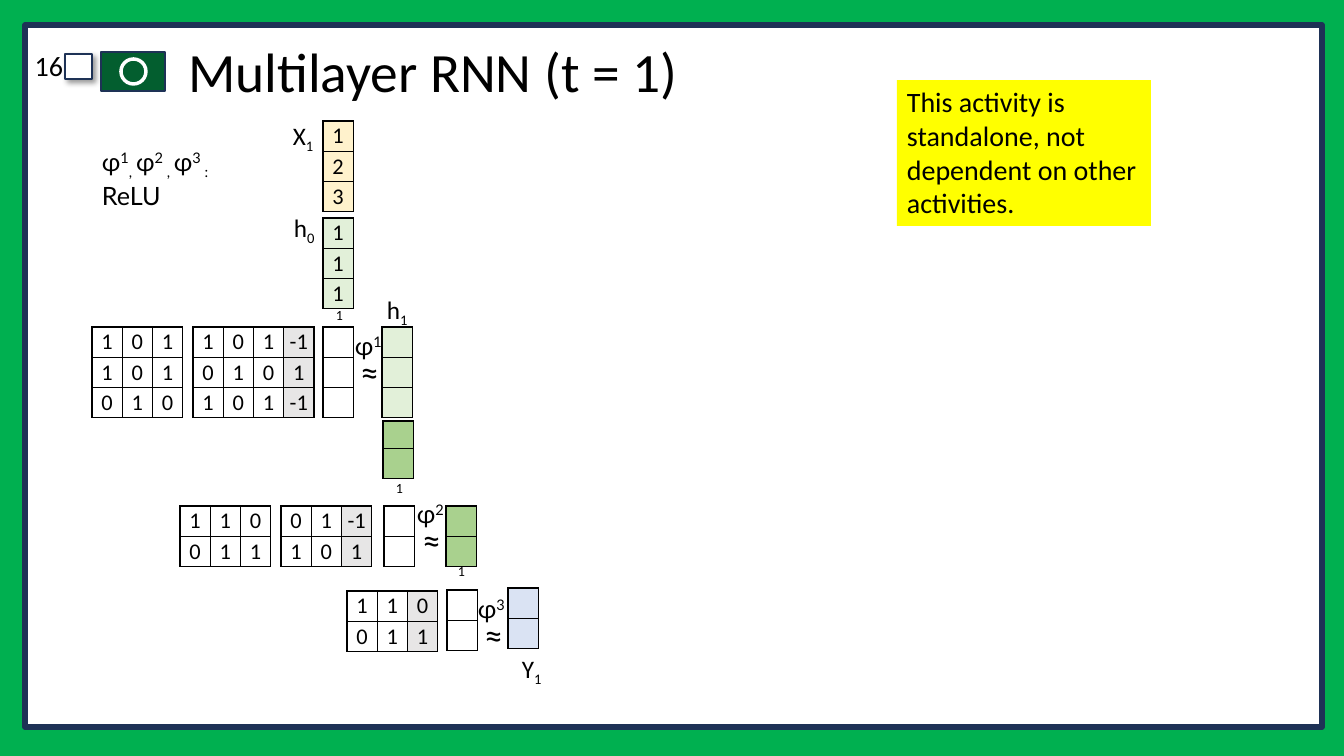
from dataclasses import dataclass
from lxml.etree import SubElement
from pptx import Presentation
from pptx.dml.color import RGBColor
from pptx.enum.shapes import MSO_SHAPE as Shape
from pptx.enum.text import MSO_ANCHOR as Anchor, MSO_AUTO_SIZE as Fit, PP_ALIGN as Align
from pptx.oxml.ns import qn
from pptx.util import Emu, Inches, Pt


@dataclass(frozen=True)
class Theme:
    font: str = "Calibri"
    math: str = "Lato"
    ink: str = "000000"
    back: str = "00B050"
    panel: str = "FFFFFF"
    frame: str = "1E3256"
    badge: str = "035E2F"
    note: str = "FFFF00"
    bias: str = "E7E6E6"
    input: str = "FFF2CC"
    first: str = "E2F0D9"
    second: str = "A9D18E"
    output: str = "DAE3F3"
    title: float = 39.6
    approx: int = 24
    body: int = 20
    label: int = 18
    cell: int = 16
    small: int = 10


T = Theme()
UP, DOWN = 30, -25
TITLE = "Multilayer RNN (t = 1)"
PAGE = "16"
NOTE = "This activity is standalone, not dependent on other activities."
PHI = "ɸ"
RELU = [PHI, ("1", UP), (", ", DOWN), PHI, ("2", UP), (" , ", DOWN),
        PHI, ("3", UP), (" : ", DOWN), "ReLU"]

# left, top, rows of values
WEIGHTS = [
    (92, 327, ["1 0 1", "1 0 1", "0 1 0"]),
    (180, 506, ["1 1 0", "0 1 1"]),
]
# as above, with the bias in the last column
BIASED = [
    (193, 327, ["1 0 1 -1", "0 1 0 1", "1 0 1 -1"]),
    (281, 506, ["0 1 -1", "1 0 1"]),
    (347, 591, ["1 1 0", "0 1 1"]),
]
# left, top, values, fill
VECTORS = [
    (323, 121, ["1", "2", "3"], T.input),
    (323, 218, ["1", "1", "1"], T.first),
    (323, 327, [""] * 3, None),
    (382, 327, [""] * 3, T.first),
    (383, 421, [""] * 2, T.second),
    (384, 506, [""] * 2, None),
    (446, 506, [""] * 2, T.second),
    (447, 590, [""] * 2, None),
    (508, 588, [""] * 2, T.output),
]
STACKED = (383, 421)  # the vector whose first row is lower
NAMES = [(283, 115, "X", "1"), (284, 207, "h", "0"), (377, 289, "h", "1"), (512, 648, "Y", "1")]
ONES = [(326, 302), (386, 475), (448, 558)]
# left and top of the sign, left and top of the function
STEPS = [(350, 347, 345, 325), (412, 515, 407, 493), (474, 610, 468, 588)]

CELL = Inches(0.3)


def px(*nums):
    return [Emu(round(n * 914400 / 100.8)) for n in nums]


def rgb(code):
    return RGBColor.from_string(code)


def write(frame, text, size=T.label, font=T.font, align=Align.LEFT,
          anchor=Anchor.TOP, wrap=True, fit=Fit.SHAPE_TO_FIT_TEXT, gap=None):
    """Fill a frame with a string, or a list of strings and (string, baseline) pairs."""
    frame.word_wrap, frame.auto_size, frame.vertical_anchor = wrap, fit, anchor
    par = frame.paragraphs[0]
    par.alignment, par.line_spacing = align, gap
    for part in [text] if isinstance(text, str) else text:
        word, base = (part, 0) if isinstance(part, str) else part
        run = par.add_run()
        run.text = word
        run.font.size, run.font.name = Pt(size), font
        run.font.color.rgb = rgb(T.ink)
        if base:
            run._r.get_or_add_rPr().set("baseline", str(base * 1000))


def label(at, text, **form):
    write(slide.shapes.add_textbox(*px(*at)).text_frame, text, **form)


def block(at, fill, line=None, width=1, kind=Shape.RECTANGLE):
    box = slide.shapes.add_shape(kind, *px(*at))
    box.shadow.inherit = False
    box.fill.solid()
    box.fill.fore_color.rgb = rgb(fill)
    if line:
        box.line.color.rgb, box.line.width = rgb(line), Pt(width)
    else:
        box.line.fill.background()
    return box


def shade(box):
    effects = box._element.spPr.find(qn("a:effectLst"))
    drop = SubElement(effects, qn("a:outerShdw"), blurRad=str(Pt(4)), dist=str(Pt(3)),
                      dir="2700000", algn="tl", rotWithShape="0")
    tint = SubElement(drop, qn("a:srgbClr"), val=T.ink)
    SubElement(tint, qn("a:alpha"), val="40000")


def border(cell):
    """Draw the four sides; they must stand before the fill."""
    props = cell._tc.get_or_add_tcPr()
    for side in ("lnL", "lnR", "lnT", "lnB"):
        line = SubElement(props, qn("a:" + side), w=str(Pt(1)))
        SubElement(SubElement(line, qn("a:solidFill")), qn("a:srgbClr"), val=T.ink)


def matrix(left, top, rows, fill=None, last=None):
    """Draw a grid of values, with its last column filled with last."""
    count = len(rows[0])
    shape = slide.shapes.add_table(len(rows), count, *px(left, top),
                                   CELL * count, CELL * len(rows))
    grid = shape.table
    grid.first_row = grid.horz_banding = False
    for r, row in enumerate(rows):
        for c, value in enumerate(row):
            cell = grid.cell(r, c)
            border(cell)
            tint = last if last and c == count - 1 else fill
            if tint:
                cell.fill.solid()
                cell.fill.fore_color.rgb = rgb(tint)
            else:
                cell.fill.background()
            cell.margin_left = cell.margin_right = cell.margin_top = cell.margin_bottom = 0
            cell.vertical_anchor = Anchor.MIDDLE
            if value:
                write(cell.text_frame, value, size=T.cell, align=Align.CENTER,
                      anchor=None, wrap=None, fit=None)
            else:
                SubElement(cell.text_frame.paragraphs[0]._p, qn("a:endParaRPr"),
                           sz=str(T.cell * 100))
    return grid


deck = Presentation()
deck.slide_width, deck.slide_height = px(1344, 756)
slide = deck.slides.add_slide(deck.slide_layouts[5])
slide.background.fill.solid()
slide.background.fill.fore_color.rgb = rgb(T.back)

block((25, 25, 1297, 702), T.panel, T.frame, 4)
shade(block((65, 54, 27, 25), T.panel, T.frame))
block((101, 52, 64, 39), T.badge, T.frame)
block((121, 59, 25, 25), T.badge, T.panel, 2.5, Shape.OVAL)
label((0, 47, 73, 45), PAGE, size=T.body, align=Align.RIGHT, gap=0.9, fit=Fit.NONE)

title = slide.shapes.title
slide.shapes._spTree.append(title._element)  # in front of the panel
title.left, title.top, title.width, title.height = px(178, 40, 1074, 69)
write(title.text_frame, TITLE, size=T.title, anchor=Anchor.MIDDLE, gap=0.9, fit=Fit.NONE)

for left, top, rows in WEIGHTS:
    matrix(left, top, [row.split() for row in rows])
for left, top, rows in BIASED:
    matrix(left, top, [row.split() for row in rows], last=T.bias)
for left, top, values, fill in VECTORS:
    grid = matrix(left, top, [[value] for value in values], fill)
    if (left, top) == STACKED:
        grid.rows[0].height = px(27)[0]

label((92, 141, 183, 40), RELU, font=T.math)
for left, top, name, index in NAMES:
    label((left, top, 42, 40), [name, (index, DOWN)], wrap=False)
for left, top in ONES:
    label((left, top, 27, 27), "1", size=T.small, wrap=False)
for level, (left, top, x, y) in enumerate(STEPS, 1):
    label((left, top, 32, 50), "≈", size=T.approx, font=T.math)
    label((x, y, 51, 40), [PHI, (str(level), UP)], font=T.math)

note = block((897, 80, 254, 146), T.note)
write(note.text_frame, NOTE, size=T.body)

deck.save("out.pptx")
